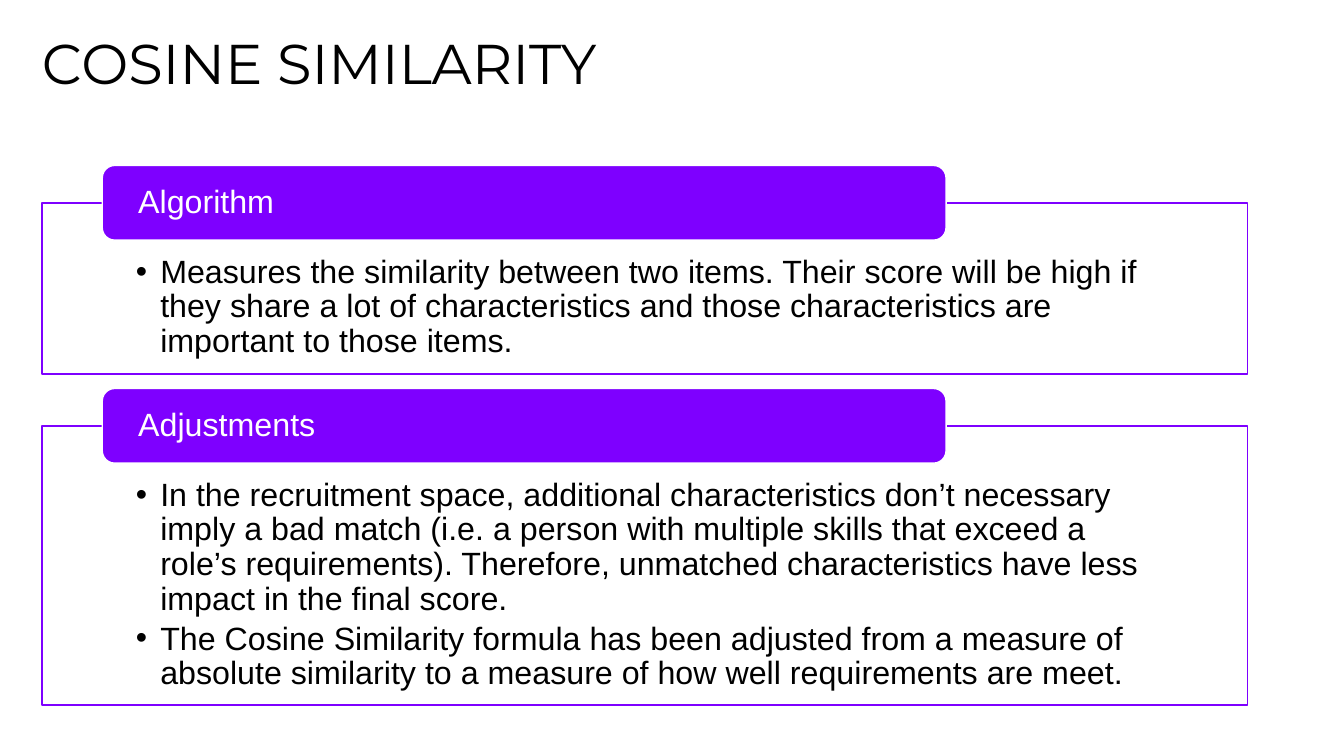
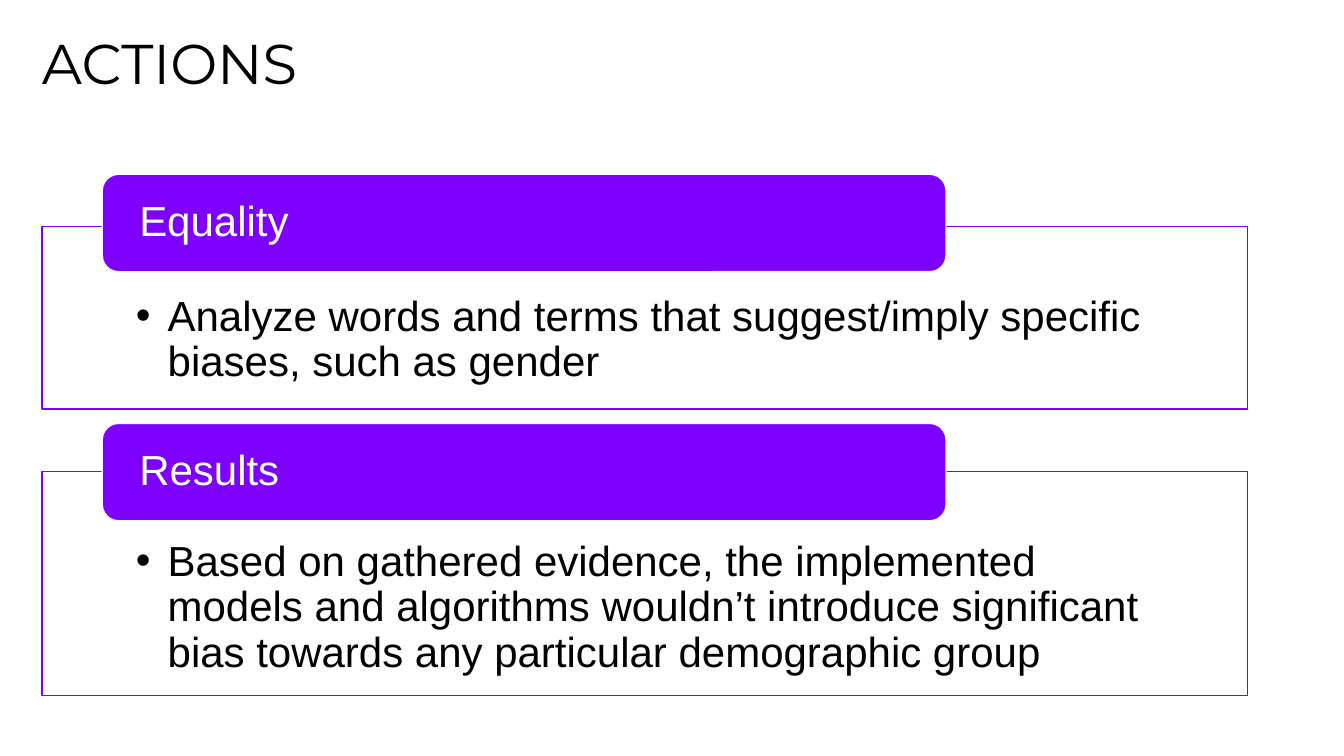
"""Build two slides of headed panels on cosine similarity and planned actions."""
from dataclasses import dataclass

from pptx import Presentation
from pptx.dml.color import RGBColor
from pptx.enum.shapes import MSO_SHAPE as Preset
from pptx.enum.text import MSO_ANCHOR as Anchor, MSO_AUTO_SIZE as AutoSize, PP_ALIGN as Align
from pptx.util import Inches, Pt


@dataclass(frozen=True)
class Theme:
    """Colours, fonts and type sizes of the deck."""
    purple: RGBColor = RGBColor(0x7E, 0x00, 0xFF)
    white: RGBColor = RGBColor(0xFF, 0xFF, 0xFF)
    black: RGBColor = RGBColor(0x00, 0x00, 0x00)
    title_font: str = "Montserrat"
    body_font: str = "Arial"
    title_size: int = 40
    dense_size: int = 23
    roomy_size: int = 30


@dataclass(frozen=True)
class Panel:
    """A framed list; lift is how many rows its tab starts above the frame."""
    heading: str
    points: tuple
    rows: float
    lift: float


class Deck:
    """Holds the style and the current slide, measured in grid columns and rows."""
    COLUMNS, ROWS = 32, 18
    FRAME_COLUMNS = 28.7
    GAP_ROWS = 0.34
    TWO_CONTENT_LAYOUT = 3

    def __init__(self, theme):
        self.theme = theme
        self.presentation = Presentation()
        self.presentation.slide_width = Inches(13.33)
        self.presentation.slide_height = Inches(7.5)
        self.slide = None

    def columns(self, count):
        """Return the width of a number of columns."""
        return round(self.presentation.slide_width * count / self.COLUMNS)

    def rows(self, count):
        """Return the height of a number of rows."""
        return round(self.presentation.slide_height * count / self.ROWS)

    def place(self, shape, column, row, width, height):
        """Move a shape to its grid cell."""
        shape.left, shape.top = self.columns(column), self.rows(row)
        shape.width, shape.height = self.columns(width), self.rows(height)

    def paint(self, shape, fill, line):
        """Give a shape its fill and outline."""
        shape.fill.solid()
        shape.fill.fore_color.rgb = fill
        shape.line.color.rgb = line
        shape.line.width = Pt(1)

    def set_text(self, shape, lines, font, size, color, insets, anchor=Anchor.TOP,
                 spacing=0.9, after=0):
        """Fill a shape with left-aligned paragraphs in one style."""
        frame = shape.text_frame
        frame.word_wrap, frame.auto_size = True, AutoSize.NONE
        frame.vertical_anchor = anchor
        (frame.margin_left, frame.margin_top,
         frame.margin_right, frame.margin_bottom) = insets
        frame.text = "\n".join(lines)
        for paragraph in frame.paragraphs:
            paragraph.alignment = Align.LEFT
            paragraph.line_spacing = spacing
            paragraph.space_before, paragraph.space_after = Pt(0), Pt(after)
            paragraph.font.name, paragraph.font.size = font, Pt(size)
            paragraph.font.color.rgb = color
        return frame.paragraphs

    def title(self, text):
        """Set the slide title."""
        shape = self.slide.shapes.title
        self.place(shape, 1, 1, 30, 2.6)
        self.set_text(shape, [text], self.theme.title_font, self.theme.title_size,
                      self.theme.black, (0, Inches(0.05), 0, 0), spacing=0.7)

    def bullet_frame(self, shape, row, panel, size):
        """Outline a body placeholder and fill it with bullets."""
        self.place(shape, 1, row, self.FRAME_COLUMNS, panel.rows)
        self.paint(shape, self.theme.white, self.theme.purple)
        side = Inches(0.93)
        insets = (side, Pt(1.63 * size), side, Pt(0.55 * size))
        hang = Pt(0.76 * size)
        for paragraph in self.set_text(shape, panel.points, self.theme.body_font, size,
                                       self.theme.black, insets, after=0.15 * size):
            properties = paragraph._p.get_or_add_pPr()
            properties.set("marL", str(hang))
            properties.set("indent", str(-hang))

    def tab(self, heading, row, size):
        """Add the rounded heading that overlaps a frame."""
        shape = self.slide.shapes.add_shape(
            Preset.ROUNDED_RECTANGLE, self.columns(1 + 0.05 * self.FRAME_COLUMNS),
            self.rows(row), self.columns(0.7 * self.FRAME_COLUMNS), Pt(2.32 * size))
        shape.shadow.inherit = False
        self.paint(shape, self.theme.purple, self.theme.white)
        self.set_text(shape, [heading], self.theme.body_font, size, self.theme.white,
                      (Inches(0.32), 0, Inches(0.32), 0), Anchor.MIDDLE)

    def panel_slide(self, title, panels, top, size):
        """Add a slide with panels stacked from a top row."""
        layout = self.presentation.slide_layouts[self.TWO_CONTENT_LAYOUT]
        self.slide = self.presentation.slides.add_slide(layout)
        self.title(title)
        bodies = list(self.slide.placeholders)[1:]
        for body, panel in zip(bodies, panels):
            self.bullet_frame(body, top + panel.lift, panel, size)
            self.tab(panel.heading, top, size)
            top += panel.lift + panel.rows + self.GAP_ROWS


def main():
    """Build and save the deck."""
    theme = Theme()
    deck = Deck(theme)
    deck.panel_slide("COSINE SIMILARITY", [
        Panel("Algorithm", (
            "Measures the similarity between two items. Their score will be high if they "
            "share a lot of characteristics and those characteristics are important to "
            "those items.",), rows=4.08, lift=0.89),
        Panel("Adjustments", (
            "In the recruitment space, additional characteristics don’t necessary imply a "
            "bad match (i.e. a person with multiple skills that exceed a role’s "
            "requirements). Therefore, unmatched characteristics have less impact in the "
            "final score.",
            "The Cosine Similarity formula has been adjusted from a measure of absolute "
            "similarity to a measure of how well requirements are meet."),
            rows=6.65, lift=0.89),
    ], top=3.94, size=theme.dense_size)
    deck.panel_slide("ACTIONS", [
        Panel("Equality", (
            "Analyze words and terms that suggest/imply specific biases, such as gender",),
            rows=4.34, lift=1.25),
        Panel("Results", (
            "Based on gathered evidence, the implemented models and algorithms wouldn’t "
            "introduce significant bias towards any particular demographic group",),
            rows=5.33, lift=1.15),
    ], top=4.15, size=theme.roomy_size)
    deck.presentation.save("out.pptx")


if __name__ == "__main__":
    main()
